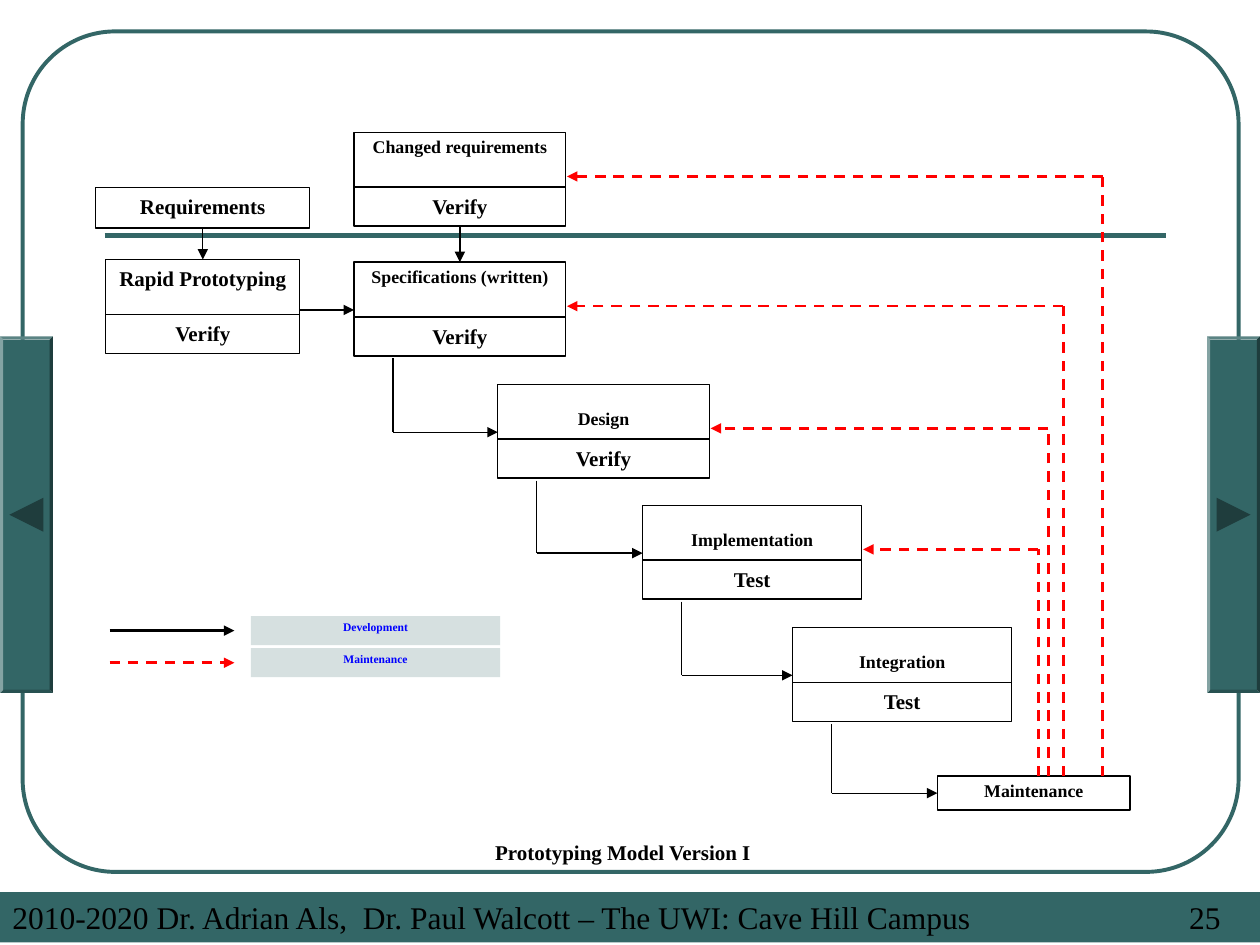
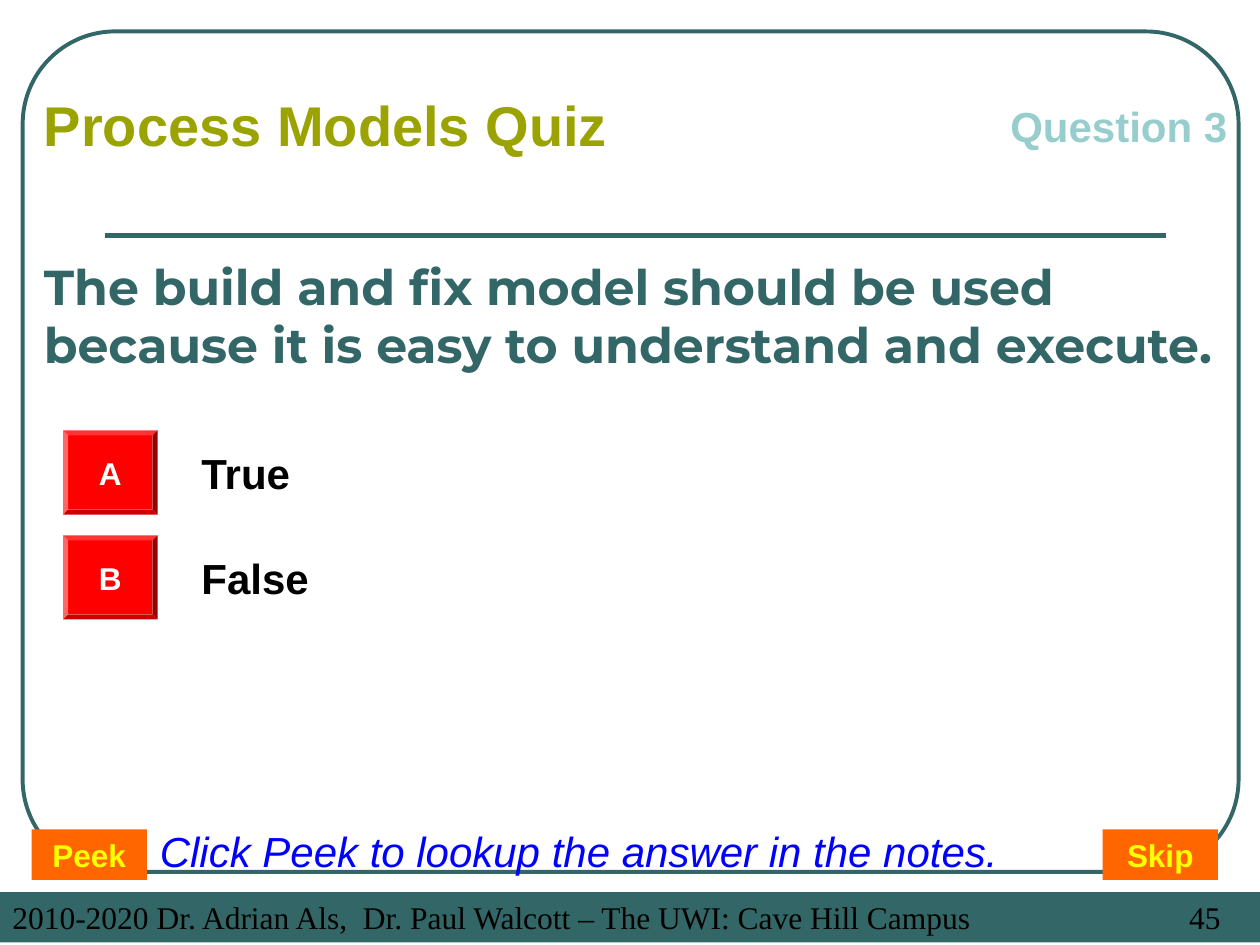
from dataclasses import dataclass

from lxml.etree import SubElement
from pptx import Presentation
from pptx.dml.color import RGBColor
from pptx.enum.dml import MSO_LINE
from pptx.enum.shapes import MSO_CONNECTOR, MSO_SHAPE
from pptx.enum.text import MSO_ANCHOR, PP_ALIGN
from pptx.oxml.ns import qn
from pptx.util import Inches, Pt

SLIDE_WIDTH, SLIDE_HEIGHT = Inches(10), Inches(7.5)
COLUMNS, ROWS = 100, 75
COLUMN, ROW = SLIDE_WIDTH / COLUMNS, SLIDE_HEIGHT / ROWS

TEAL = RGBColor(0x33, 0x66, 0x66)
DARK_TEAL = RGBColor(0x1F, 0x3D, 0x3D)
PALE_TEAL = RGBColor(0xD6, 0xE0, 0xE0)
AQUA = RGBColor(0x97, 0xCD, 0xCC)
OLIVE = RGBColor(0x9B, 0xA3, 0x01)
ORANGE = RGBColor(0xFF, 0x66, 0x00)
YELLOW = RGBColor(0xFF, 0xFF, 0x00)
RED = RGBColor(0xFF, 0x00, 0x00)
BLUE = RGBColor(0x00, 0x00, 0xFF)
BLACK = RGBColor(0x00, 0x00, 0x00)
WHITE = RGBColor(0xFF, 0xFF, 0xFF)

SERIF, SANS, DISPLAY = "Times New Roman", "Arial", "Montserrat"
FOOTER = "2010-2020 Dr. Adrian Als,  Dr. Paul Walcott – The UWI: Cave Hill Campus"
STEP_HEIGHT, CHECK_HEIGHT = 4.35, 3.1
ARROW_DROP, FEEDBACK_DROP, STEM_OFFSET = 3.8, 3.5, 3.1


@dataclass
class Box:
    """A rectangle measured in columns and rows of the slide grid."""
    left: float
    top: float
    width: float
    height: float

    @property
    def right(self):
        """Return the column of the right side."""
        return self.left + self.width

    @property
    def bottom(self):
        """Return the row of the lower side."""
        return self.top + self.height

    def inner(self, left, top, width, height):
        """Return a box placed relative to this one."""
        return Box(self.left + left, self.top + top, width, height)

    def lengths(self):
        """Return left, top, width and height as slide lengths."""
        return (int(self.left * COLUMN), int(self.top * ROW),
                int(self.width * COLUMN), int(self.height * ROW))


PAGE = Box(0, 0, COLUMNS, ROWS)


def write_text(shape, text, size=12, font=SERIF, color=BLACK, bold=False, italic=False,
               align=PP_ALIGN.LEFT, anchor=MSO_ANCHOR.TOP, spacing=None, wrap=True,
               bottom_inset=0.05, tab=None):
    """Fill a shape with one formatted paragraph."""
    frame = shape.text_frame
    frame.word_wrap = wrap
    frame.vertical_anchor = anchor
    frame.margin_bottom = Inches(bottom_inset)
    paragraph = frame.paragraphs[0]
    paragraph.alignment = align
    if spacing:
        paragraph.line_spacing = spacing
    if tab:
        tab_list = SubElement(paragraph._p.get_or_add_pPr(), qn("a:tabLst"))
        SubElement(tab_list, qn("a:tab"), pos=str(int(tab * COLUMN)), algn="l")
    run = paragraph.add_run()
    run.text = text
    run.font.size, run.font.name = Pt(size), font
    run.font.bold, run.font.italic = bold, italic
    run.font.color.rgb = color


def add_text(slide, box, text, **text_format):
    """Add a text box."""
    write_text(slide.shapes.add_textbox(*box.lengths()), text, **text_format)


def add_block(slide, box, kind=MSO_SHAPE.RECTANGLE, fill=None, line=None, weight=0.75,
              adjustment=None):
    """Add a flat preset shape with an optional fill and outline."""
    shape = slide.shapes.add_shape(kind, *box.lengths())
    shape.shadow.inherit = False
    if adjustment is not None:
        shape.adjustments[0] = adjustment
    if fill is None:
        shape.fill.background()
    else:
        shape.fill.solid()
        shape.fill.fore_color.rgb = fill
    if line is None:
        shape.line.fill.background()
    else:
        shape.line.color.rgb = line
        shape.line.width = Pt(weight)
    return shape


def add_line(slide, start, end, color=BLACK, weight=0.75, dashed=False, arrow=False):
    """Add a straight connector between two grid points."""
    connector = slide.shapes.add_connector(
        MSO_CONNECTOR.STRAIGHT, int(start[0] * COLUMN), int(start[1] * ROW),
        int(end[0] * COLUMN), int(end[1] * ROW))
    connector.line.color.rgb = color
    connector.line.width = Pt(weight)
    if dashed:
        connector.line.dash_style = MSO_LINE.DASH
    if arrow:
        SubElement(connector.line._get_or_add_ln(), qn("a:tailEnd"), type="triangle")
    SubElement(connector._element.spPr, qn("a:effectLst"))
    return connector


def add_route(slide, start, corner, end, **line_format):
    """Add two lines that turn at a corner and return the arrow."""
    add_line(slide, start, corner, **line_format)
    return add_line(slide, corner, end, arrow=True, **line_format)


def join_down(slide, upper, lower):
    """Join the lower side of one shape to the upper side of another."""
    arrow = add_line(slide, (0, 0), (1, 1), arrow=True)
    arrow.begin_connect(upper, 2)
    arrow.end_connect(lower, 0)


def add_frame(slide, box, number):
    """Add the rounded frame, title rule and numbered footer band."""
    add_block(slide, box.inner(1.8, 2.5, 96.5, 66.7), MSO_SHAPE.ROUNDED_RECTANGLE,
              line=TEAL, weight=2.25, adjustment=0.11)
    rule = box.top + 18.7
    add_line(slide, (box.left + 8.3, rule), (box.left + 92.5, rule), TEAL, 3)
    band = add_block(slide, box.inner(0, 70.8, box.width, 4), fill=TEAL)
    write_text(band, f"{FOOTER}\t{number}", size=18, tab=93.4)


def add_page_button(slide, box, rotation):
    """Add a bevelled page button with a triangle turned to its direction."""
    add_block(slide, box, MSO_SHAPE.BEVEL, fill=TEAL, adjustment=0.06)
    side = 2.7
    triangle = box.inner((box.width - side) / 2, (box.height - side) / 2, side, side)
    add_block(slide, triangle, MSO_SHAPE.ISOSCELES_TRIANGLE, fill=DARK_TEAL).rotation = rotation


def add_cell(slide, box, text, **text_format):
    """Add an outlined rectangle with a bold centred label."""
    cell = add_block(slide, box, line=BLACK)
    write_text(cell, text, bold=True, align=PP_ALIGN.CENTER, **text_format)
    return cell


def add_stage(slide, box, step, check, **text_format):
    """Add a step above its check and return both cells."""
    return (add_cell(slide, box.inner(0, 0, box.width, STEP_HEIGHT), step, **text_format),
            add_cell(slide, box.inner(0, STEP_HEIGHT, box.width, CHECK_HEIGHT), check))


def add_step_stage(slide, box, step, check, low=False):
    """Add a stage whose step label is small and sits high or low."""
    step_cell = add_cell(slide, box.inner(0, 0, box.width, STEP_HEIGHT), step, size=10.2,
                         spacing=0.9, bottom_inset=0.08,
                         anchor=MSO_ANCHOR.BOTTOM if low else MSO_ANCHOR.TOP)
    return step_cell, add_cell(
        slide, box.inner(0, STEP_HEIGHT, box.width, CHECK_HEIGHT), check)


def add_legend(slide, box):
    """Add the key to the two kinds of arrow."""
    rows = (("Development", BLACK, False), ("Maintenance", RED, True))
    for index, (label, color, dashed) in enumerate(rows):
        swatch = box.inner(11.2, index * 2.55, 19.8, 2.3)
        middle = swatch.top + swatch.height / 2
        add_line(slide, (box.left, middle), (box.left + 9.9, middle), color, 1.5,
                 dashed, arrow=True)
        write_text(add_block(slide, swatch, fill=PALE_TEAL), label, size=6.6, color=BLUE,
                   bold=True, align=PP_ALIGN.CENTER, spacing=0.8)


def add_model(slide, box):
    """Add the prototyping model with its development and maintenance routes."""
    height = STEP_HEIGHT + CHECK_HEIGHT
    changed = box.inner(28.1, 10.5, 16.8, height)
    rapid = box.inner(8.4, 20.6, 15.4, height)
    stages = (
        ("Specifications (written)", "Verify", box.inner(28.1, 20.8, 16.8, height)),
        ("Design", "Verify", box.inner(39.5, 30.5, 16.8, height)),
        ("Implementation", "Test", box.inner(51, 40.1, 17.4, height)),
        ("Integration", "Test", box.inner(62.9, 49.8, 17.4, height)),
    )
    stage_boxes = [stage_box for _, _, stage_box in stages]
    maintenance = box.inner(74.4, 61.6, 15.3, 2.7)

    requirements_cell = add_cell(slide, box.inner(7.6, 14.9, 17, 3.2), "Requirements")
    rapid_cell, _ = add_stage(slide, rapid, "Rapid Prototyping", "Verify")
    _, changed_check = add_step_stage(slide, changed, "Changed requirements", "Verify")
    step_cells = [add_step_stage(slide, stage_box, step, check, low=index > 0)[0]
                  for index, (step, check, stage_box) in enumerate(stages)]
    maintenance_cell = add_cell(slide, maintenance, "Maintenance", size=10.2, spacing=0.9)

    join_down(slide, requirements_cell, rapid_cell)
    join_down(slide, changed_check, step_cells[0])
    hand_over = rapid.top + 4
    add_line(slide, (rapid.right, hand_over), (stage_boxes[0].left, hand_over), arrow=True)

    for current, following in zip(stage_boxes, stage_boxes[1:] + [maintenance]):
        stem = current.left + STEM_OFFSET
        last = following is maintenance
        level = following.top + (following.height / 2 if last else ARROW_DROP)
        arrow = add_route(slide, (stem, current.bottom + 0.2), (stem, level),
                          (following.left, level))
        if last:
            arrow.end_connect(maintenance_cell, 1)

    for target, offset in zip([changed] + stage_boxes[:3], (13.1, 10, 8.8, 8)):
        stem, level = maintenance.left + offset, target.top + FEEDBACK_DROP
        add_route(slide, (stem, maintenance.top), (stem, level),
                  (target.right + 0.1, level), color=RED, weight=1.5, dashed=True)

    add_legend(slide, box.inner(8.7, 48.9, 31, 4.85))
    add_text(slide, box.inner(4.7, 66.1, 89.5, 3.9), "Prototyping Model Version I",
             bold=True, align=PP_ALIGN.CENTER)


def add_answer(slide, box, letter, answer):
    """Add a bevelled letter button and the answer beside it."""
    button = add_block(slide, box.inner(0, 0, 7.5, 6.67), MSO_SHAPE.BEVEL, fill=RED,
                       adjustment=0.06)
    write_text(button, letter, size=18, font=SANS, color=WHITE, bold=True,
               align=PP_ALIGN.CENTER, anchor=MSO_ANCHOR.MIDDLE, wrap=False)
    add_text(slide, box.inner(10, 0.83, box.width - 10, 5), answer, size=24, font=SANS,
             bold=True)


def add_quiz(slide, box):
    """Add the quiz headings, the question, its answers and its buttons."""
    add_text(slide, box.inner(2.5, 17.5, 95, 15),
             "The build and fix model should be used because it is easy to "
             "understand and execute.",
             size=28, font=DISPLAY, color=TEAL, bold=True, anchor=MSO_ANCHOR.MIDDLE)
    for index, (letter, answer) in enumerate((("A", "True"), ("B", "False"))):
        add_answer(slide, box.inner(5, 34.17 + index * 8.33, 92.5, 6.67), letter, answer)
    for left, label in ((2.5, "Peek"), (87.5, "Skip")):
        button = add_block(slide, box.inner(left, 65.83, 9.17, 4), fill=ORANGE)
        write_text(button, label, size=18, font=SANS, color=YELLOW, bold=True,
                   align=PP_ALIGN.CENTER)
    add_text(slide, box.inner(79.2, 7.5, 20.8, 5), "Question 3", size=24, font=SANS,
             color=AQUA, bold=True)
    add_text(slide, box.inner(2.5, 6.7, 65, 6.4), "Process Models Quiz", size=32,
             font=SANS, color=OLIVE, bold=True)
    add_text(slide, box.inner(11.7, 65, 71.7, 5),
             "Click Peek to lookup the answer in the notes.", size=24, font=SANS,
             color=BLUE, italic=True)


def main():
    """Build both slides and save the presentation."""
    presentation = Presentation()
    presentation.slide_width, presentation.slide_height = SLIDE_WIDTH, SLIDE_HEIGHT
    blank = presentation.slide_layouts[6]

    model_slide = presentation.slides.add_slide(blank)
    add_frame(model_slide, PAGE, 25)
    add_model(model_slide, PAGE)
    for left, rotation in ((95.8, 90), (0, 270)):
        add_page_button(model_slide, PAGE.inner(left, 26.7, 4.2, 28.3), rotation)

    quiz_slide = presentation.slides.add_slide(blank)
    add_frame(quiz_slide, PAGE, 45)
    add_quiz(quiz_slide, PAGE)

    presentation.save("out.pptx")


if __name__ == "__main__":
    main()
